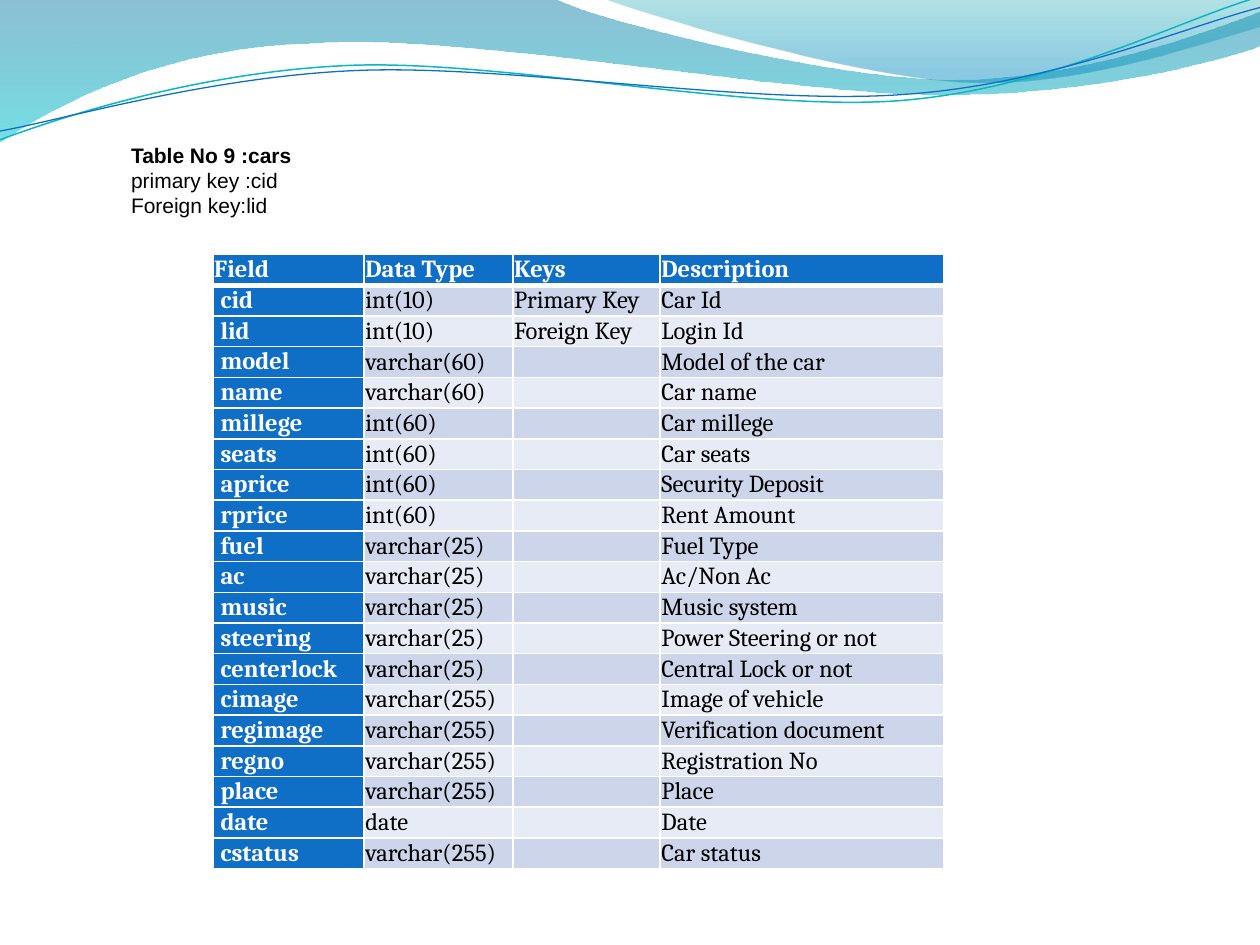
from lxml.etree import SubElement
from pptx import Presentation
from pptx.dml.color import RGBColor
from pptx.enum.text import MSO_ANCHOR
from pptx.oxml.ns import qn
from pptx.util import Inches, Pt

COLORS = {
    "white": "FFFFFF", "black": "000000", "blue": "0F6FC6", "teal": "0AB8BF",
    "deep_blue": "0074A1", "cyan": "00C6CF", "sea": "00A1A9", "sky": "008BBF",
    "band_dark": "CCD5EA", "band_light": "E7EBF5",
}

LEFT_WAVE = [
    (0, 0), (4.4, -0.01),
    (4.76, 0.17, 6.64, 0.63, 7.58, 0.63), (8.53, 0.63, 9.58, 0.26, 10, 0.09),
    (10.01, 0.36),
    (9.83, 0.44, 8.7, 0.76, 7.46, 0.75), (6.22, 0.75, 3.82, 0.28, 2.57, 0.34),
    (1.29, 0.36, 0.46, 0.83, -0.01, 1.13),
]
RIGHT_WAVE = [
    (4.79, -0.01),
    (5.09, 0.11, 6.82, 0.62, 7.69, 0.65), (8.56, 0.69, 9.61, 0.32, 10, 0.21),
    (10, 0),
]
TEAL_LINE = [
    (0, 1.11), (0.48, 0.93, 1.58, 0.57, 2.77, 0.52),
    (3.95, 0.47, 5.93, 0.89, 7.13, 0.8), (8.33, 0.71, 9.38, 0.15, 9.98, -0.02),
]
BLUE_LINE = [
    (0, 1.04), (0.47, 0.96, 1.64, 0.61, 2.83, 0.56),
    (4.03, 0.51, 5.97, 0.84, 7.17, 0.75), (8.36, 0.67, 9.41, 0.21, 10, 0.06),
]

CAPTION = ["Table No 9 :cars", "primary key :cid", "Foreign key:lid"]
COLUMN_WIDTHS = [1.2, 1.18, 1.17, 2.25]
ROW_HEIGHT = 0.24
ROWS = [
    ("Field", "Data Type", "Keys", "Description"),
    ("cid", "int(10)", "Primary Key", "Car Id"),
    ("lid", "int(10)", "Foreign Key", "Login Id"),
    ("model", "varchar(60)", "", "Model of the car"),
    ("name", "varchar(60)", "", "Car name"),
    ("millege", "int(60)", "", "Car millege"),
    ("seats", "int(60)", "", "Car seats"),
    ("aprice", "int(60)", "", "Security Deposit"),
    ("rprice", "int(60)", "", "Rent Amount"),
    ("fuel", "varchar(25)", "", "Fuel Type"),
    ("ac", "varchar(25)", "", "Ac/Non Ac"),
    ("music", "varchar(25)", "", "Music system"),
    ("steering", "varchar(25)", "", "Power Steering or not"),
    ("centerlock", "varchar(25)", "", "Central Lock or not"),
    ("cimage", "varchar(255)", "", "Image of vehicle"),
    ("regimage", "varchar(255)", "", "Verification document"),
    ("regno", "varchar(255)", "", "Registration No"),
    ("place", "varchar(255)", "", "Place"),
    ("date", "date", "", "Date"),
    ("cstatus", "varchar(255)", "", "Car status"),
]


def color(name):
    return RGBColor.from_string(COLORS[name])


def add_outline(page, segments, close):
    points = [
        (round(segment[i] * 100), round(segment[i + 1] * 100))
        for segment in segments for i in range(0, len(segment), 2)
    ]
    builder = page.shapes.build_freeform(*points[0], scale=Inches(0.01))
    builder.add_line_segments(points[1:], close=close)
    shape = builder.convert_to_shape()
    shape.shadow.inherit = False
    bend_segments(shape, segments)
    return shape


def bend_segments(shape, segments):
    steps = iter(list(shape.element.iter(qn("a:lnTo"))))
    for segment in segments[1:]:
        step = next(steps)
        if len(segment) == 6:
            step.tag = qn("a:cubicBezTo")
            for extra in (next(steps), next(steps)):
                step.append(extra[0])
                extra.getparent().remove(extra)


def add_wave(page, segments, stops):
    wave = add_outline(page, segments, True)
    wave.line.fill.background()
    wave.fill.gradient()
    wave.fill.gradient_angle = 270
    for stop, (position, name, opacity) in zip(wave.fill.gradient_stops, stops):
        stop.position = position
        stop.color.rgb = color(name)
    tints = wave.element.spPr.iter(qn("a:srgbClr"))
    for tint, (position, name, opacity) in zip(tints, stops):
        SubElement(tint, qn("a:alpha"), val=str(opacity * 1000))


def add_curve(page, segments, name, width):
    curve = add_outline(page, segments, False)
    curve.fill.background()
    curve.line.color.rgb = color(name)
    curve.line.width = Pt(width)


def format_span(span, font, size, name, bold):
    span.font.name = font
    span.font.size = Pt(size)
    span.font.bold = bold
    span.font.color.rgb = color(name)


def add_caption(page):
    box = page.shapes.add_textbox(Inches(1.04), Inches(1.13), Inches(5), Inches(0.62))
    frame = box.text_frame
    frame.word_wrap = True
    frame.margin_left = frame.margin_right = frame.margin_top = frame.margin_bottom = 0
    frame.text = "\n".join(CAPTION)
    for index, para in enumerate(frame.paragraphs):
        format_span(para.runs[0], "Arial", 12, "black", index == 0)


def add_borders(cell, bottom):
    properties = cell._tc.get_or_add_tcPr()
    for side, width in (("L", 1), ("R", 1), ("T", 1), ("B", bottom)):
        border = SubElement(properties, qn("a:ln" + side), w=str(Pt(width)))
        fill = SubElement(border, qn("a:solidFill"))
        SubElement(fill, qn("a:srgbClr"), val=COLORS["white"])


def format_cell(cell, text, row, column):
    strong = row == 0 or column == 0
    add_borders(cell, 3 if row == 0 else 1)
    cell.fill.solid()
    band = "band_dark" if row % 2 else "band_light"
    cell.fill.fore_color.rgb = color("blue" if strong else band)
    cell.margin_left = cell.margin_right = cell.margin_top = cell.margin_bottom = Inches(0.01)
    if column == 0 and row > 0:
        cell.margin_left = Inches(0.06)
    centered = column in (1, 3) or (row, column) == (0, 0)
    cell.vertical_anchor = MSO_ANCHOR.MIDDLE if centered else MSO_ANCHOR.TOP
    cell.text = text
    para = cell.text_frame.paragraphs[0]
    for span in para.runs:
        format_span(span, "Cambria", 14, "white" if strong else "black", strong)
    if not text:
        ending = SubElement(para._p, qn("a:endParaRPr"), sz="1200")
        SubElement(ending, qn("a:latin"), typeface="Cambria")


def add_field_table(page):
    frame = page.shapes.add_table(
        len(ROWS), len(COLUMN_WIDTHS), Inches(1.69), Inches(2.02),
        Inches(sum(COLUMN_WIDTHS)), Inches(ROW_HEIGHT * len(ROWS)))
    table = frame.table
    for column, width in zip(table.columns, COLUMN_WIDTHS):
        column.width = Inches(width)
    for row, texts in enumerate(ROWS):
        table.rows[row].height = Inches(ROW_HEIGHT)
        for column, text in enumerate(texts):
            format_cell(table.cell(row, column), text, row, column)


def main():
    deck = Presentation()
    deck.slide_width, deck.slide_height = Inches(10), Inches(7.5)
    page = deck.slides.add_slide(deck.slide_layouts[6])
    add_wave(page, LEFT_WAVE, [(0, "deep_blue", 45), (1, "cyan", 55)])
    add_wave(page, RIGHT_WAVE, [(0, "sea", 30), (0.8, "sky", 45)])
    add_curve(page, TEAL_LINE, "teal", 0.85)
    add_curve(page, BLUE_LINE, "blue", 0.75)
    add_field_table(page)
    add_caption(page)
    deck.save("out.pptx")


main()
